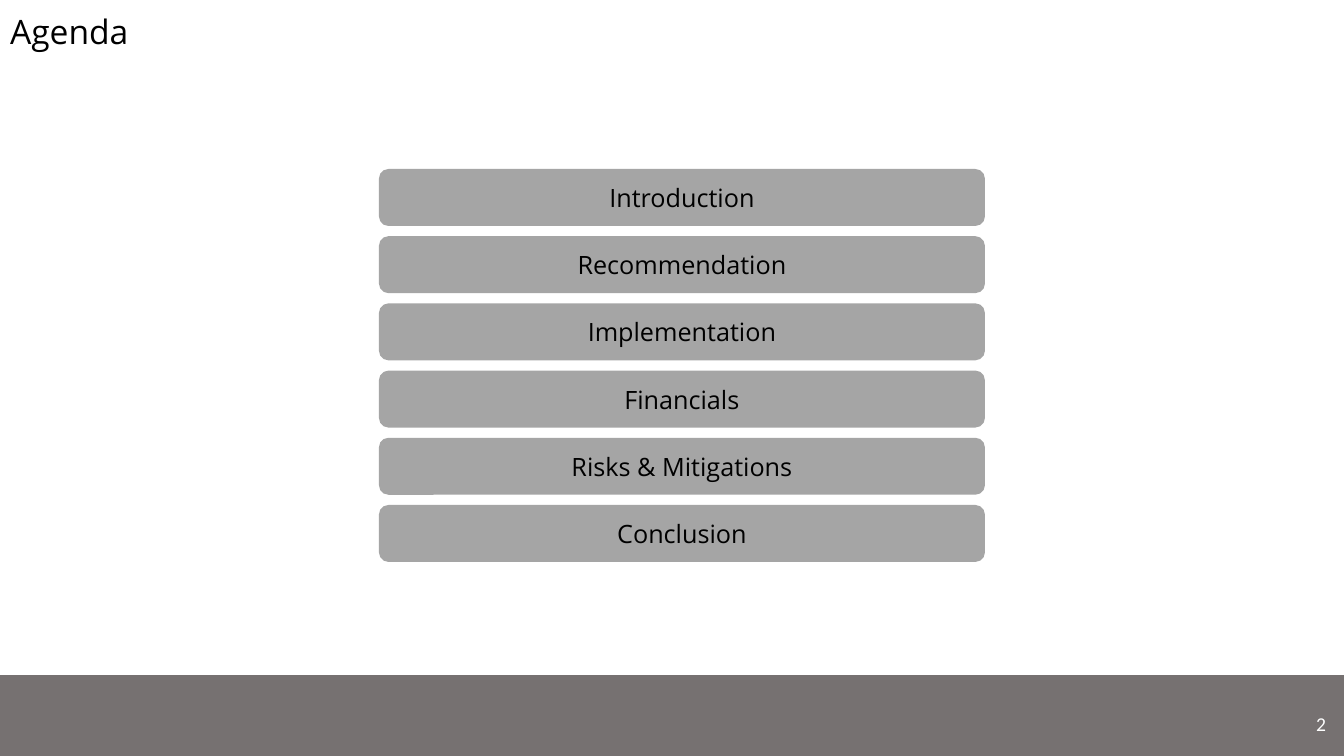
"""Build the agenda slide with six topic bars and a numbered footer."""
from pptx import Presentation
from pptx import util as u
from pptx.dml.color import RGBColor
from pptx.enum import shapes, text

BLACK = RGBColor(0x00, 0x00, 0x00)
WHITE = RGBColor(0xFF, 0xFF, 0xFF)
BAR_GREY = RGBColor(0xA5, 0xA5, 0xA5)
FOOTER_GREY = RGBColor(0x76, 0x71, 0x71)

HEADING = "Agenda"
TOPICS = [
    "Introduction",
    "Recommendation",
    "Implementation",
    "Financials",
    "Risks & Mitigations",
    "Conclusion",
]
PAGE = "2"

SLIDE_SIZE = (1344, 756)
FOOTER_BOX = (0, 675, 1344, 81)
HEADING_BOX = (0, 0, 1159, 57)
PAGE_BOX = (1034, 704, 302, 40)
BAR_LEFT, BAR_WIDTH, BAR_HEIGHT = 379, 606, 57
FIRST_TOP, LAST_TOP = 169, 505

HEADING_FONT = {"name": "Open Sans", "size": u.Pt(24)}
TOPIC_FONT = {"name": "Open Sans", "size": u.Pt(18)}
PAGE_FONT = {"name": "Calibri", "size": u.Pt(14)}
EMU_PER_PX = 914400 / 100.8


def emu(px):
    return u.Emu(round(px * EMU_PER_PX))


def write(holder, words, font, color, align, anchor):
    frame = holder.text_frame
    frame.text = words
    frame_format = {
        "word_wrap": True,
        "auto_size": text.MSO_AUTO_SIZE.NONE,
        "vertical_anchor": anchor,
    }
    for key, value in frame_format.items():
        setattr(frame, key, value)
    line = frame.paragraphs[0]
    line.alignment = align
    for key, value in font.items():
        setattr(line.runs[0].font, key, value)
    line.runs[0].font.color.rgb = color
    return line


def add_block(slide, preset, box, color):
    block = slide.shapes.add_shape(preset, *map(emu, box))
    block.shadow.inherit = False
    block.fill.solid()
    block.fill.fore_color.rgb = color
    block.line.fill.background()
    return block


def main():
    deck = Presentation()
    deck.slide_width, deck.slide_height = map(emu, SLIDE_SIZE)
    agenda = deck.slides.add_slide(deck.slide_layouts[5])

    add_block(agenda, shapes.MSO_SHAPE.RECTANGLE, FOOTER_BOX, FOOTER_GREY)

    heading = agenda.shapes.title
    for side, px in zip(("left", "top", "width", "height"), HEADING_BOX):
        setattr(heading, side, emu(px))
    heading_line = write(heading, HEADING, HEADING_FONT, BLACK,
                         text.PP_ALIGN.LEFT, text.MSO_ANCHOR.BOTTOM)
    heading_line.line_spacing = 0.9

    page = agenda.shapes.add_textbox(*map(emu, PAGE_BOX))
    write(page, PAGE, PAGE_FONT, WHITE,
          text.PP_ALIGN.RIGHT, text.MSO_ANCHOR.MIDDLE)

    pitch = (LAST_TOP - FIRST_TOP) / (len(TOPICS) - 1)
    for row, topic in enumerate(TOPICS):
        box = (BAR_LEFT, FIRST_TOP + row * pitch, BAR_WIDTH, BAR_HEIGHT)
        bar = add_block(agenda, shapes.MSO_SHAPE.ROUNDED_RECTANGLE, box, BAR_GREY)
        write(bar, topic, TOPIC_FONT, BLACK,
              text.PP_ALIGN.CENTER, text.MSO_ANCHOR.MIDDLE)

    deck.save("out.pptx")


if __name__ == "__main__":
    main()
